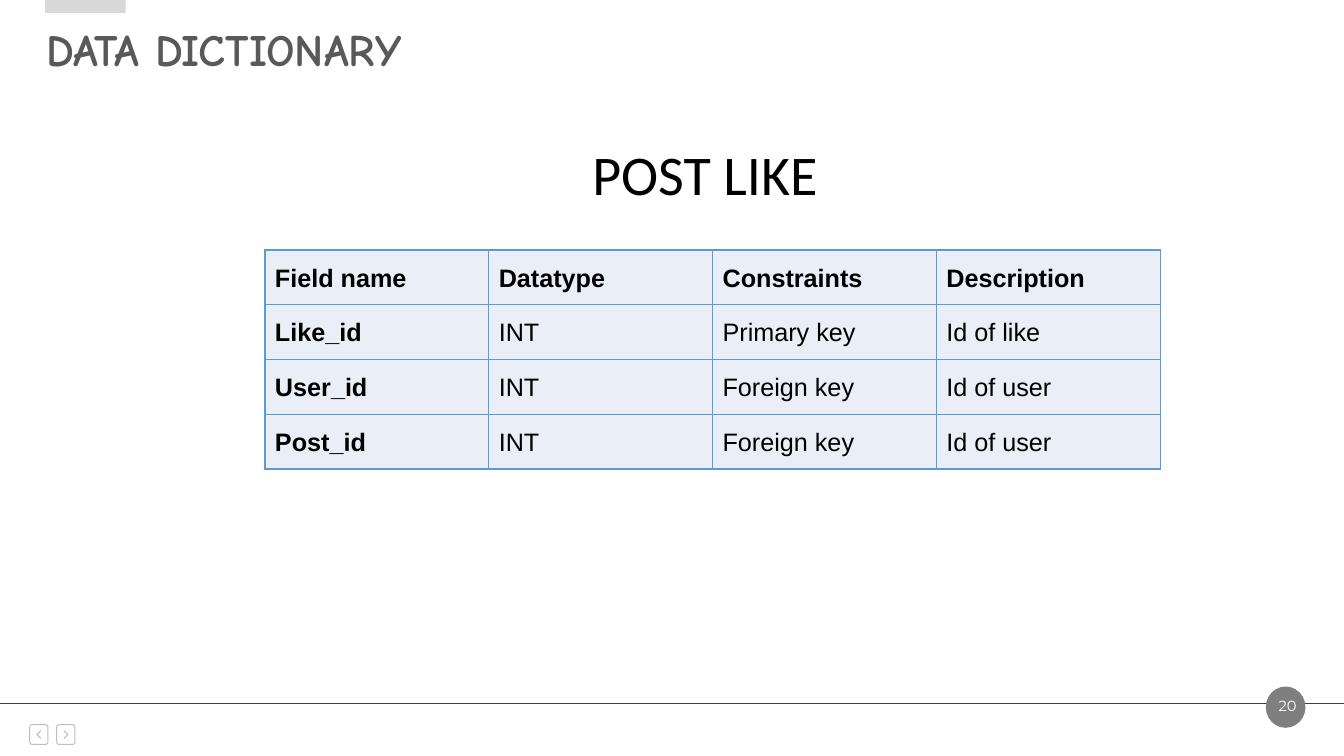
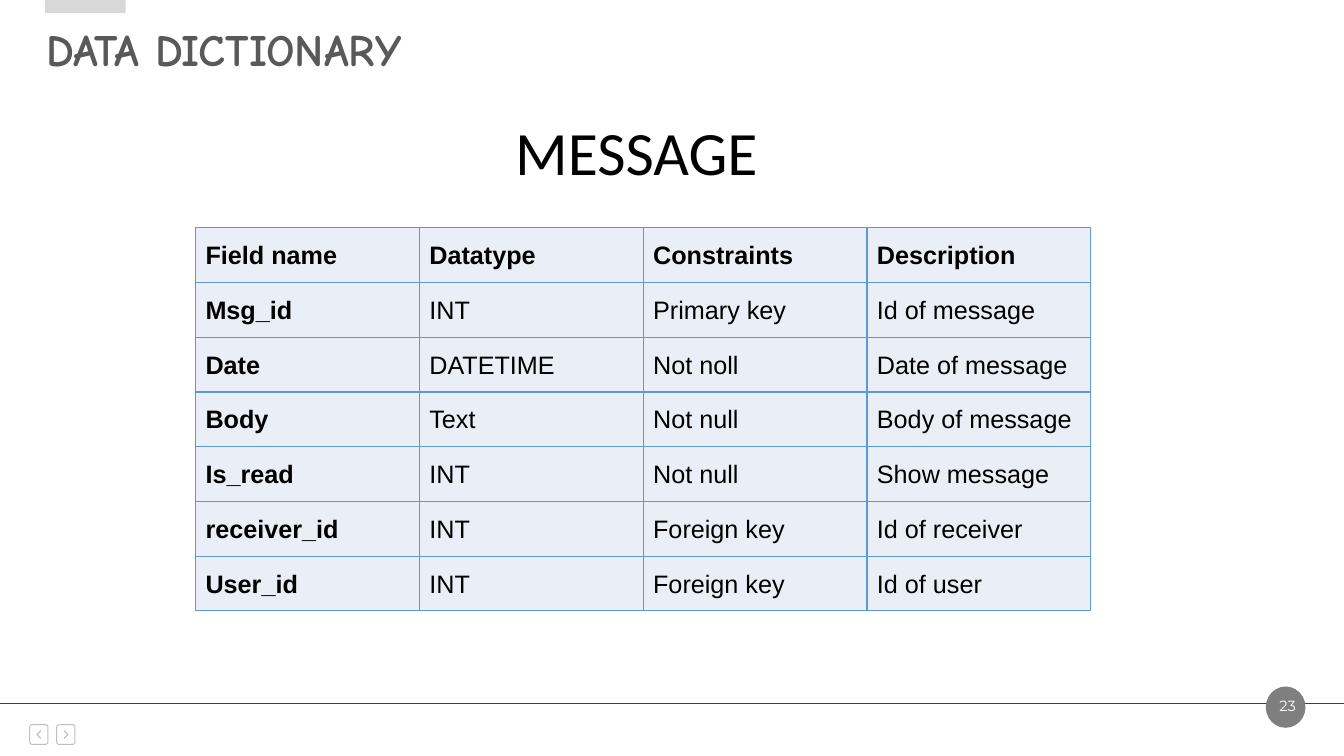
"""Build two data dictionary slides, each with a heading and a field table."""
from lxml.etree import SubElement as Sub
from pptx import Presentation as Deck
from pptx.dml.color import RGBColor as Rgb
from pptx.enum.shapes import MSO_CONNECTOR as Link, MSO_SHAPE as Form
from pptx.enum.text import MSO_ANCHOR as Anchor, MSO_AUTO_SIZE as Fit, PP_ALIGN as Align
from pptx.oxml.ns import qn
from pptx.util import Cm, Pt

WIDE, HIGH = 33.87, 19.05
HUES = {
    "title": "595959",
    "tab": "D8D8D8",
    "rule": "3F3F3F",
    "disc": "7F7F7F",
    "nav": "BFBFBF",
    "cell": "EAEFF7",
    "edge": "5B9BD5",
    "ink": "000000",
    "white": "FFFFFF",
}
HEAD = ("Field name", "Datatype", "Constraints", "Description")
LIKES = (
    ("Like_id", "INT", "Primary key", "Id of like"),
    ("User_id", "INT", "Foreign key", "Id of user"),
    ("Post_id", "INT", "Foreign key", "Id of user"),
)
MAIL = (
    ("Msg_id", "INT", "Primary key", "Id of message"),
    ("Date", "DATETIME", "Not noll", "Date of message"),
    ("Body", "Text", "Not null", "Body of message"),
    ("Is_read", "INT", "Not null", "Show message"),
    ("receiver_id", "INT", "Foreign key", "Id of receiver"),
    ("User_id", "INT", "Foreign key", "Id of user"),
)


def tint(name):
    return Rgb.from_string(HUES[name])


def write(frame, text, face, size, hue, bold=False, align=Align.LEFT):
    frame.text = text
    para = frame.paragraphs[0]
    para.alignment = align
    font = para.runs[0].font
    font.name, font.size, font.bold = face, Pt(size), bold
    font.color.rgb = tint(hue)
    return para


def label(slide, box, text, face, size, hue, anchor=Anchor.TOP):
    frame = slide.shapes.add_textbox(*map(Cm, box)).text_frame
    frame.word_wrap = True
    frame.vertical_anchor = anchor
    write(frame, text, face, size, hue, align=Align.CENTER)


def block(slide, form, box, hue):
    shape = slide.shapes.add_shape(form, *map(Cm, box))
    shape.shadow.inherit = False
    shape.fill.solid()
    shape.fill.fore_color.rgb = tint(hue)
    shape.line.fill.background()
    return shape


def trace(shape, hue, width):
    shape.line.color.rgb = tint(hue)
    shape.line.width = Pt(width)


def button(slide, left, top, turn):
    box = block(slide, Form.ROUNDED_RECTANGLE, (left, top, 0.46, 0.5), "nav")
    box.adjustments[0] = 0.14
    box.fill.background()
    trace(box, "nav", 0.75)
    midx, midy = left + 0.23, top + 0.25
    back, tip = midx - turn * 0.05, midx + turn * 0.05
    pen = slide.shapes.build_freeform(Cm(back), Cm(midy - 0.1))
    pen.add_line_segments([(Cm(tip), Cm(midy)), (Cm(back), Cm(midy + 0.1))], close=False)
    arrow = pen.convert_to_shape()
    arrow.shadow.inherit = False
    arrow.fill.background()
    trace(arrow, "nav", 0.75)


def footer(slide, top, page):
    for left, turn in ((0.75, -1), (1.43, 1)):
        button(slide, left, top + 0.53, turn)
    rule = slide.shapes.add_connector(Link.STRAIGHT, 0, Cm(top), Cm(WIDE), Cm(top))
    Sub(rule.line._get_or_add_ln().getparent(), qn("a:effectLst"))
    trace(rule, "rule", 0.75)
    block(slide, Form.OVAL, (31.9, top - 0.43, 1, 1.04), "disc")
    label(slide, (31.83, top - 0.3, 1.24, 0.71), page, "Montserrat", 10.5, "white",
          Anchor.BOTTOM)


def header(slide, left, top, text):
    title = slide.shapes.title
    title.left, title.top = Cm(left), Cm(top + 0.41)
    title.width, title.height = Cm(20.96), Cm(1.63)
    frame = title.text_frame
    frame.auto_size = Fit.NONE
    frame.vertical_anchor = Anchor.MIDDLE
    write(frame, text, "Comic Neue", 32, "title", bold=True)
    block(slide, Form.RECTANGLE, (left + 0.23, top, 2.03, 0.33), "tab")


def border(cell):
    prop = cell._tc.get_or_add_tcPr()
    for side in ("lnL", "lnR", "lnT", "lnB"):
        line = Sub(prop, qn("a:" + side), w=str(Pt(1)))
        Sub(Sub(line, qn("a:solidFill")), qn("a:srgbClr"), val=HUES["edge"])


def grid(slide, left, top, rows):
    wide, high = 5.64, 1.38
    data = (HEAD, *rows)
    table = slide.shapes.add_table(
        len(data), len(HEAD), Cm(left), Cm(top),
        Cm(wide * len(HEAD)), Cm(high * len(data))).table
    table.first_row = table.horz_banding = False
    for col in table.columns:
        col.width = Cm(wide)
    for r, row in enumerate(data):
        table.rows[r].height = Cm(high)
        for c, text in enumerate(row):
            cell = table.cell(r, c)
            border(cell)
            cell.fill.solid()
            cell.fill.fore_color.rgb = tint("cell")
            cell.margin_left = cell.margin_right = Cm(0.25)
            cell.margin_top = cell.margin_bottom = Cm(0.25)
            para = write(cell.text_frame, text, "Arial", 18, "ink", bold=r == 0 or c == 0)
            para.line_spacing = 1.15


def page(deck, number, name, size, box, spot, rows):
    slide = deck.slides.add_slide(deck.slide_layouts.get_by_name("Title Only"))
    footer(slide, 17.73, number)
    header(slide, 0.91, 0, "DATA DICTIONARY")
    grid(slide, *spot, rows)
    label(slide, box, name, "Calibri", size, "ink")


def main():
    deck = Deck()
    deck.slide_width, deck.slide_height = Cm(WIDE), Cm(HIGH)
    page(deck, "20", "POST LIKE", 40, (6.4, 3.38, 22.73, 1.96), (6.68, 6.3), LIKES)
    page(deck, "23", "MESSAGE", 44, (4.57, 2.74, 22.94, 2.13), (4.93, 5.74), MAIL)
    deck.save("out.pptx")


if __name__ == "__main__":
    main()
